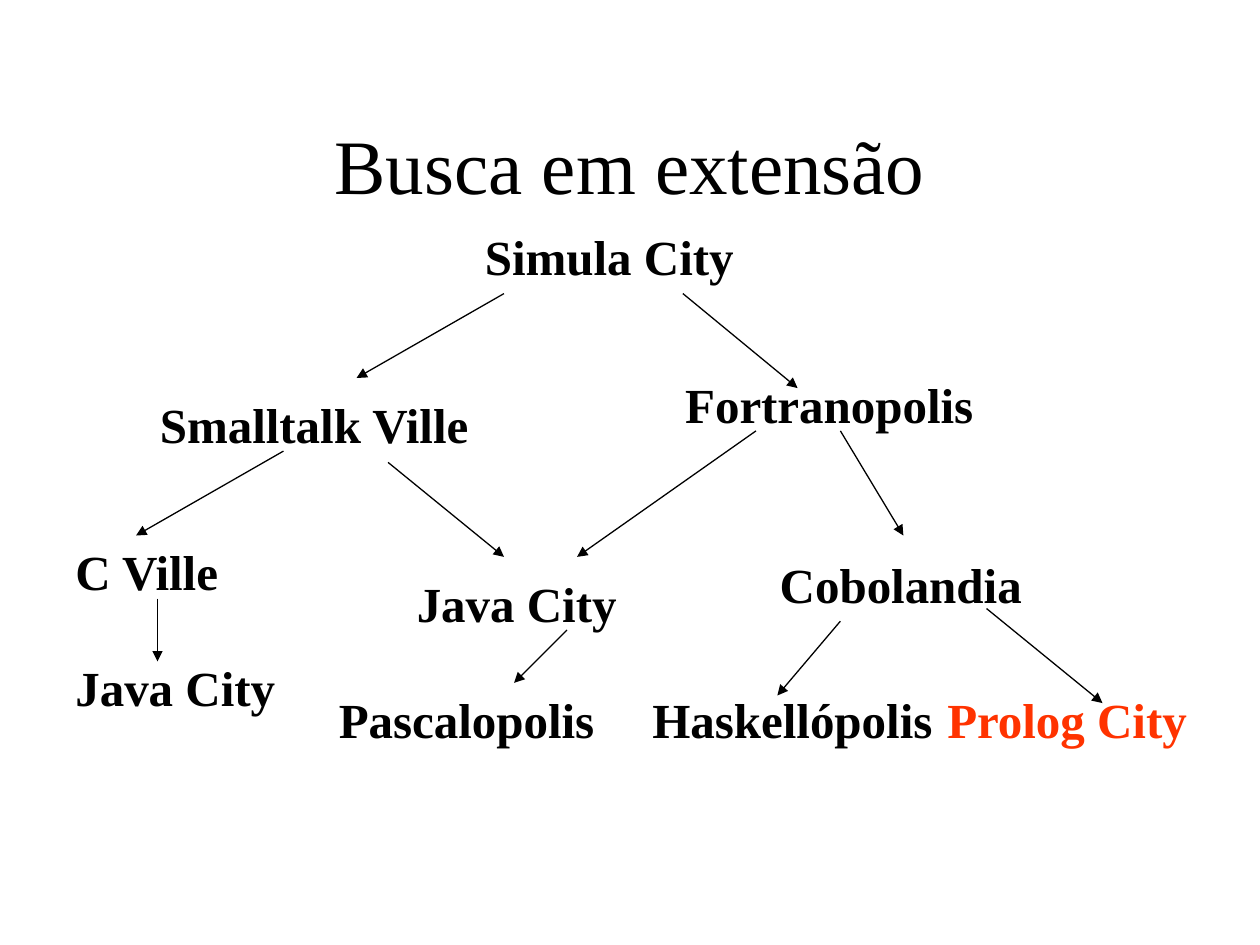
import pptx
import pptx.util
import pptx.dml.color
import pptx.enum.shapes
import pptx.enum.text
import pptx.oxml
import pptx.oxml.ns
from pptx.util import Inches

COLORS = {"text": "000000", "goal": "FF3300", "arrow": "000000"}
FONT = "Times New Roman"
LABEL_HEIGHT = 0.57
LABEL_SLACK = 0.05  # spare width that keeps each label on one line

# Cities: name, left, top, width, then the incoming arrow's start and end
CITIES = [
    ("Smalltalk Ville", 1.17, 3.08, 2.67, (4, 2.33), (2.83, 3)),
    ("Java City", 0.5, 5.17, 1.78, (1.25, 4.75), (1.25, 5.25)),
    ("C Ville", 0.5, 4.25, 1.35, (2.25, 3.58), (1.08, 4.25)),
    ("Fortranopolis", 5.34, 2.92, 2.48, (5.42, 2.33), (6.33, 3.08)),
    ("Haskellópolis", 5.08, 5.42, 2.42, (6.67, 4.93), (6.17, 5.52)),
    ("Prolog City", 7.42, 5.42, 2.11, (7.83, 4.83), (8.75, 5.58)),
    ("Java City", 3.21, 4.5, 1.78, (3.08, 3.67), (4, 4.42)),
    ("Pascalopolis", 2.59, 5.42, 2.23, (4.5, 5), (4.08, 5.42)),
    ("Cobolandia", 6.09, 4.35, 2.12, (6.67, 3.42), (7.17, 4.25)),
]
GOAL = "Prolog City"


def rgb(name):
    return pptx.dml.color.RGBColor.from_string(COLORS[name])


def add_text(shapes, text, left, top, width, height, size, color="text"):
    box = shapes.add_textbox(Inches(left), Inches(top), Inches(width), Inches(height))
    para = box.text_frame.paragraphs[0]
    para.text = text
    para.font.name = FONT
    para.font.size = pptx.util.Pt(size)
    para.font.color.rgb = rgb(color)
    return box


def add_title(page, text):
    box = add_text(page.shapes, text, 0.75, 0.67, 8.5, 1.25, 44)
    box.text_frame.word_wrap = True
    box.text_frame.vertical_anchor = pptx.enum.text.MSO_ANCHOR.MIDDLE
    box.text_frame.paragraphs[0].alignment = pptx.enum.text.PP_ALIGN.CENTER


def add_label(shapes, text, left, top, width):
    color = "goal" if text == GOAL else "text"
    box = add_text(shapes, text, left, top, width + LABEL_SLACK, LABEL_HEIGHT, 28, color)
    box.text_frame.word_wrap = False
    box.text_frame.auto_size = pptx.enum.text.MSO_AUTO_SIZE.SHAPE_TO_FIT_TEXT
    box.text_frame.paragraphs[0].font.bold = True


def add_arrow(shapes, start, end):
    points = [Inches(value) for value in (*start, *end)]
    arrow = shapes.add_connector(pptx.enum.shapes.MSO_CONNECTOR.STRAIGHT, *points)
    arrow.line.color.rgb = rgb("arrow")
    arrow.line.width = pptx.util.Pt(0.75)
    # Arrowhead at the end, and no shadow
    properties = arrow.element.spPr
    namespace = pptx.oxml.ns.nsdecls("a")
    head = pptx.oxml.parse_xml(f'<a:tailEnd {namespace} type="triangle"/>')
    properties.find(pptx.oxml.ns.qn("a:ln")).append(head)
    properties.append(pptx.oxml.parse_xml(f"<a:effectLst {namespace}/>"))


def add_city(page, name, left, top, width, start, end):
    group = page.shapes.add_group_shape()
    add_arrow(group.shapes, start, end)
    add_label(group.shapes, name, left, top, width)


def main():
    deck = pptx.Presentation()
    deck.slide_width, deck.slide_height = Inches(10), Inches(7.5)
    page = deck.slides.add_slide(deck.slide_layouts[6])

    add_title(page, "Busca em extensão")

    # Root of the search tree
    add_label(page.shapes, "Simula City", 3.75, 1.75, 2.17)

    # Each city with the arrow that leads to it
    for city in CITIES:
        add_city(page, *city)

    # Second way into Java City, from Fortranopolis
    add_arrow(page.shapes, (6, 3.42), (4.58, 4.42))

    deck.save("out.pptx")


if __name__ == "__main__":
    main()
